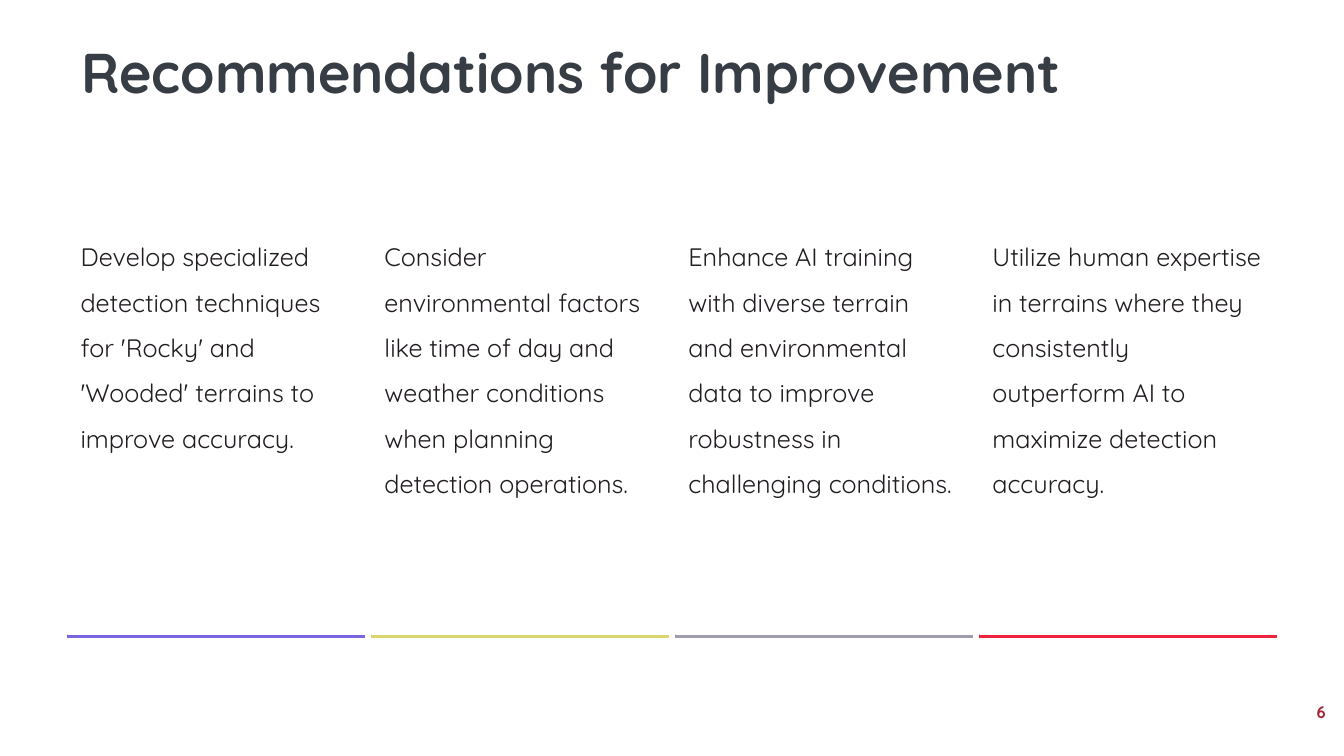
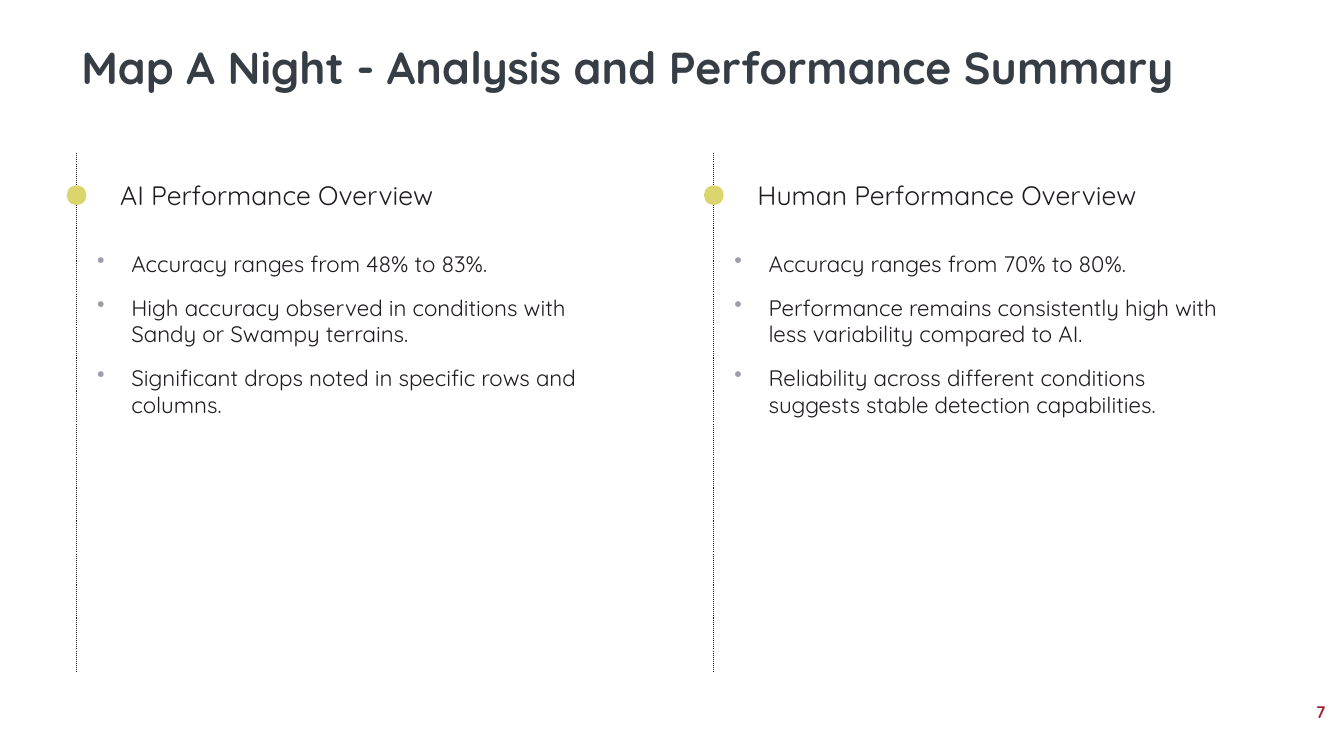
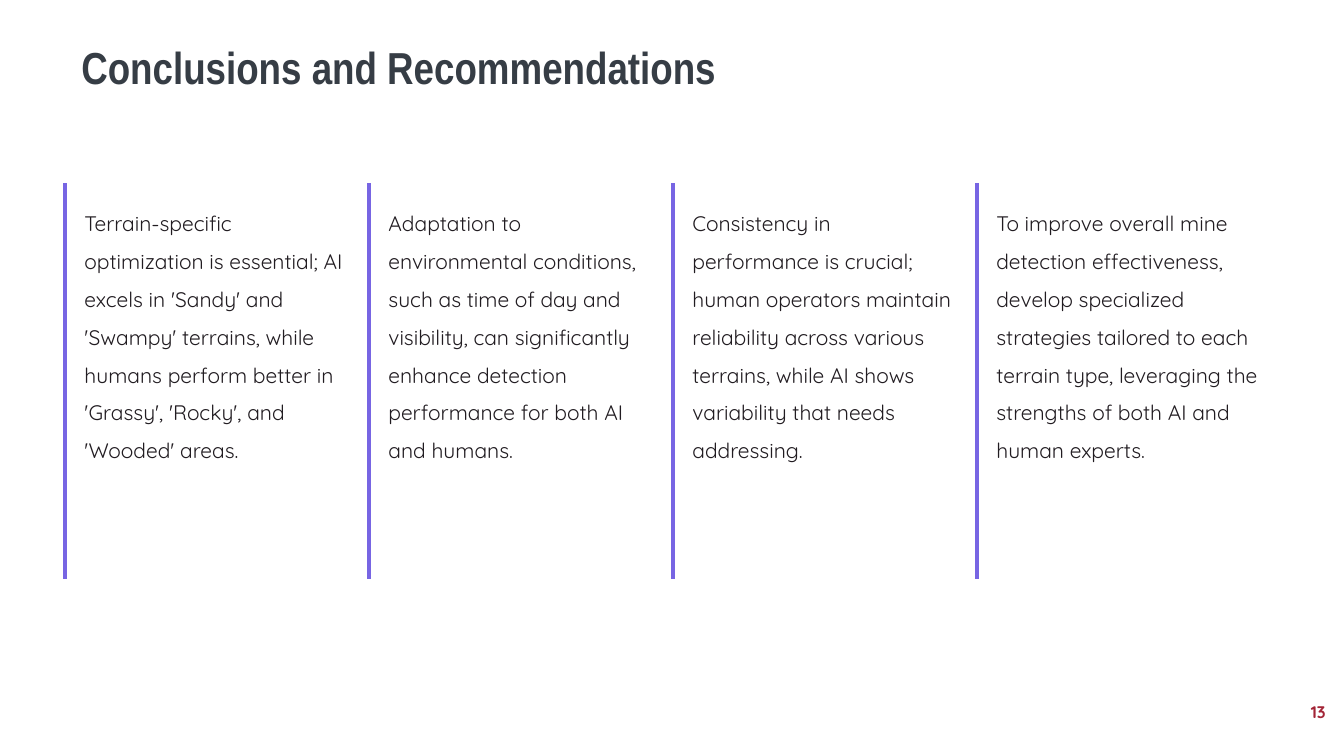
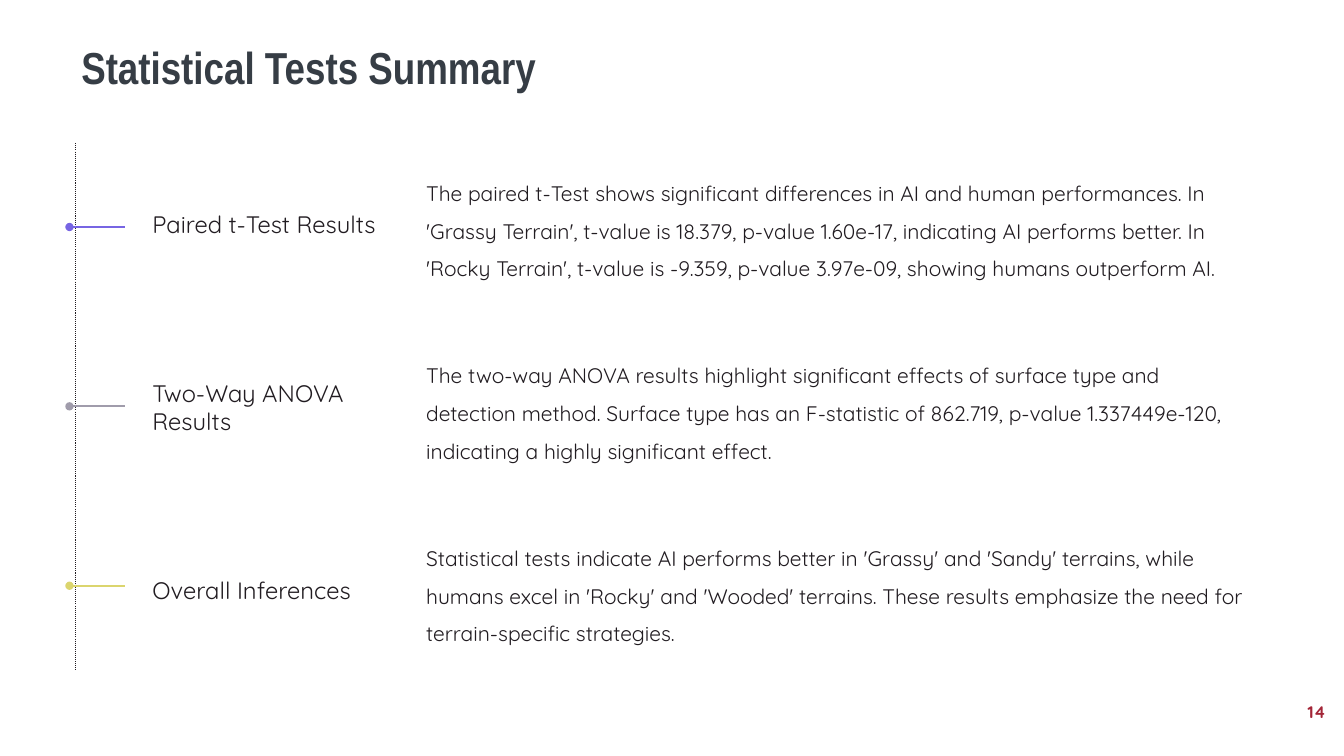
"""Build four slides on mine detection results and recommendations."""
from lxml import etree
from pptx import Presentation
from pptx.dml import color, line
from pptx.enum import dml, shapes, text
from pptx.oxml import ns
from pptx.util import Cm, Pt

COLOURS = {
    "title": "363D45",
    "number": "A32537",
    "ink": "211C21",
    "white": "FFFFFF",
    "violet": "7765E3",
    "lime": "DBD56E",
    "grey": "A09CAB",
    "red": "EF233C",
}
RGB = {name: color.RGBColor.from_string(value) for name, value in COLOURS.items()}
INSET = Cm(0.33)
BODY = {"line_spacing": 1.5, "space_after": Pt(13)}
MIDDLE = {"vertical_anchor": text.MSO_ANCHOR.MIDDLE}
THIN_INSETS = {
    "margin_left": Cm(0.25),
    "margin_right": Cm(0.25),
    "margin_top": Cm(0.13),
    "margin_bottom": Cm(0.13),
}


def write(box, lines, size, font={}, para_format={}, frame_format={}, bullet=False):
    frame = box.text_frame
    frame_values = {
        "word_wrap": True,
        "vertical_anchor": text.MSO_ANCHOR.TOP,
        "margin_left": INSET,
        "margin_right": INSET,
        "margin_top": INSET,
        "margin_bottom": INSET,
    } | frame_format
    for name, value in frame_values.items():
        setattr(frame, name, value)
    for index, words in enumerate(lines):
        para = frame.add_paragraph() if index else frame.paragraphs[0]
        for name, value in ({"alignment": text.PP_ALIGN.LEFT} | para_format).items():
            setattr(para, name, value)
        span = para.add_run()
        span.text = words
        span.font.color.rgb = RGB["ink"]
        for name, value in ({"name": "Quicksand", "size": Pt(size)} | font).items():
            setattr(span.font, name, value)
        if bullet:
            properties = para._p.get_or_add_pPr()
            properties.set("marL", str(Cm(1.07)))
            properties.set("indent", str(Cm(-0.86)))
            tint = etree.SubElement(properties, ns.qn("a:buClr"))
            etree.SubElement(tint, ns.qn("a:srgbClr"), val=COLOURS["grey"])
            etree.SubElement(properties, ns.qn("a:buChar"), char="•")
    return frame


def draw_line(page, start, end, colour, width, dotted=False, oval_start=False):
    rule = page.shapes.add_connector(
        shapes.MSO_CONNECTOR.STRAIGHT, *map(Cm, start + end))
    rule.line.color.rgb = RGB[colour]
    rule.line.width = Pt(width)
    if dotted:
        rule.line.dash_style = dml.MSO_LINE.ROUND_DOT
    if oval_start:
        etree.SubElement(rule.line._get_or_add_ln(), ns.qn("a:headEnd"), type="oval")
    etree.SubElement(rule._element.spPr, ns.qn("a:effectLst"))


deck = Presentation()
deck.slide_width, deck.slide_height = Cm(33.87), Cm(19.05)

headings = [
    ("Recommendations for Improvement", 40, "Quicksand", "6"),
    ("Map A Night - Analysis and Performance Summary", 32, "Quicksand", "7"),
    ("Conclusions and Recommendations", 32, "Arial Narrow", "13"),
    ("Statistical Tests Summary", 32, "Arial Narrow", "14"),
]
pages = []
for heading, size, typeface, number in headings:
    page = deck.slides.add_slide(deck.slide_layouts[6])
    title = page.shapes.add_textbox(Cm(1.8), Cm(1.02), Cm(29.74), Cm(2.03))
    frame = write(title, [heading], size, {"name": typeface, "bold": True},
                  {"line_spacing": 0.9}, THIN_INSETS)
    frame.paragraphs[0].runs[0].font.color.rgb = RGB["title"]
    footer = page.shapes.add_textbox(Cm(26.04), Cm(17.42), Cm(7.62), Cm(1.02))
    frame = write(footer, [number], 12, {"bold": True},
                  {"alignment": text.PP_ALIGN.RIGHT}, THIN_INSETS | MIDDLE)
    frame.paragraphs[0].runs[0].font.color.rgb = RGB["number"]
    pages.append(page)
improvements, night_map, conclusions, tests = pages

COLUMN_STEP = 7.66
recommendations = [
    ("violet", "Develop specialized detection techniques for 'Rocky' and 'Wooded' "
               "terrains to improve accuracy."),
    ("lime", "Consider environmental factors like time of day and weather conditions "
             "when planning detection operations."),
    ("grey", "Enhance AI training with diverse terrain and environmental data to "
             "improve robustness in challenging conditions."),
    ("red", "Utilize human expertise in terrains where they consistently outperform "
            "AI to maximize detection accuracy."),
]
for column, (colour, words) in enumerate(recommendations):
    left = 1.7 + column * COLUMN_STEP
    draw_line(improvements, (left, 16.03), (left + 7.5, 16.03), colour, 3)
    card = improvements.shapes.add_shape(
        shapes.MSO_SHAPE.RECTANGLE, Cm(left), Cm(5.38), Cm(7.5), Cm(10.62))
    card.shadow.inherit = False
    card.fill.solid()
    card.fill.fore_color.rgb = RGB["white"]
    card.line.fill.background()
    write(card, [words], 18, para_format=BODY)

overviews = [
    ("AI Performance Overview", [
        "Accuracy ranges from 48% to 83%.",
        "High accuracy observed in conditions with Sandy or Swampy terrains.",
        "Significant drops noted in specific rows and columns.",
    ]),
    ("Human Performance Overview", [
        "Accuracy ranges from 70% to 80%.",
        "Performance remains consistently high with less variability compared to AI.",
        "Reliability across different conditions suggests stable detection capabilities.",
    ]),
]
for column, (heading, points) in enumerate(overviews):
    axis = 1.93 + column * 16.06
    findings = night_map.shapes.add_textbox(Cm(axis - 0.02), Cm(5.97), Cm(13.64), Cm(10.95))
    write(findings, points, 16, para_format={"space_before": Pt(12)}, bullet=True)
    label = night_map.shapes.add_textbox(Cm(axis + 0.77), Cm(3.86), Cm(12.85), Cm(2.11))
    write(label, [heading], 19, para_format={"space_after": Pt(16)}, frame_format=MIDDLE)
    draw_line(night_map, (axis, 3.86), (axis, 16.92), "ink", 0.75, dotted=True)
    marker = night_map.shapes.add_shape(
        shapes.MSO_SHAPE.OVAL, Cm(axis - 0.25), Cm(4.67), Cm(0.5), Cm(0.5))
    marker.shadow.inherit = False
    marker.fill.solid()
    marker.fill.fore_color.rgb = RGB["lime"]
    marker.line.fill.background()

closing_points = [
    "Terrain-specific optimization is essential; AI excels in 'Sandy' and 'Swampy' "
    "terrains, while humans perform better in 'Grassy', 'Rocky', and 'Wooded' areas.",
    "Adaptation to environmental conditions, such as time of day and visibility, can "
    "significantly enhance detection performance for both AI and humans.",
    "Consistency in performance is crucial; human operators maintain reliability "
    "across various terrains, while AI shows variability that needs addressing.",
    "To improve overall mine detection effectiveness, develop specialized strategies "
    "tailored to each terrain type, leveraging the strengths of both AI and human "
    "experts.",
]
for column, words in enumerate(closing_points):
    left = 1.64 + column * COLUMN_STEP
    point = conclusions.shapes.add_textbox(Cm(left + 0.16), Cm(4.67), Cm(7.34), Cm(9.7))
    write(point, [words], 15, para_format=BODY)
    draw_line(conclusions, (left, 4.62), (left, 14.58), "violet", 3)

results = [
    ("violet", "Paired t-Test Results",
     "The paired t-Test shows significant differences in AI and human performances. "
     "In 'Grassy Terrain', t-value is 18.379, p-value 1.60e-17, indicating AI performs "
     "better. In 'Rocky Terrain', t-value is -9.359, p-value 3.97e-09, showing humans "
     "outperform AI."),
    ("grey", "Two-Way ANOVA Results",
     "The two-way ANOVA results highlight significant effects of surface type and "
     "detection method. Surface type has an F-statistic of 862.719, p-value "
     "1.337449e-120, indicating a highly significant effect."),
    ("lime", "Overall Inferences",
     "Statistical tests indicate AI performs better in 'Grassy' and 'Sandy' terrains, "
     "while humans excel in 'Rocky' and 'Wooded' terrains. These results emphasize the "
     "need for terrain-specific strategies."),
]
draw_line(tests, (1.9, 3.61), (1.9, 16.89), "ink", 0.75, dotted=True)
for row, (colour, heading, words) in enumerate(results):
    top = 3.61 + row * 4.6
    tick = 5.72 + row * 4.52
    label = tests.shapes.add_textbox(Cm(3.15), Cm(top), Cm(6.78), Cm(4.09))
    write(label, [heading], 17, para_format={"space_after": Pt(13)},
          frame_format=MIDDLE | {"margin_left": Cm(0.69)})
    detail = tests.shapes.add_textbox(Cm(10.41), Cm(top), Cm(21.54), Cm(4.09))
    write(detail, [words], 15, para_format=BODY, frame_format=MIDDLE)
    draw_line(tests, (1.75, tick), (3.15, tick), colour, 1.5, oval_start=True)

deck.save("out.pptx")
